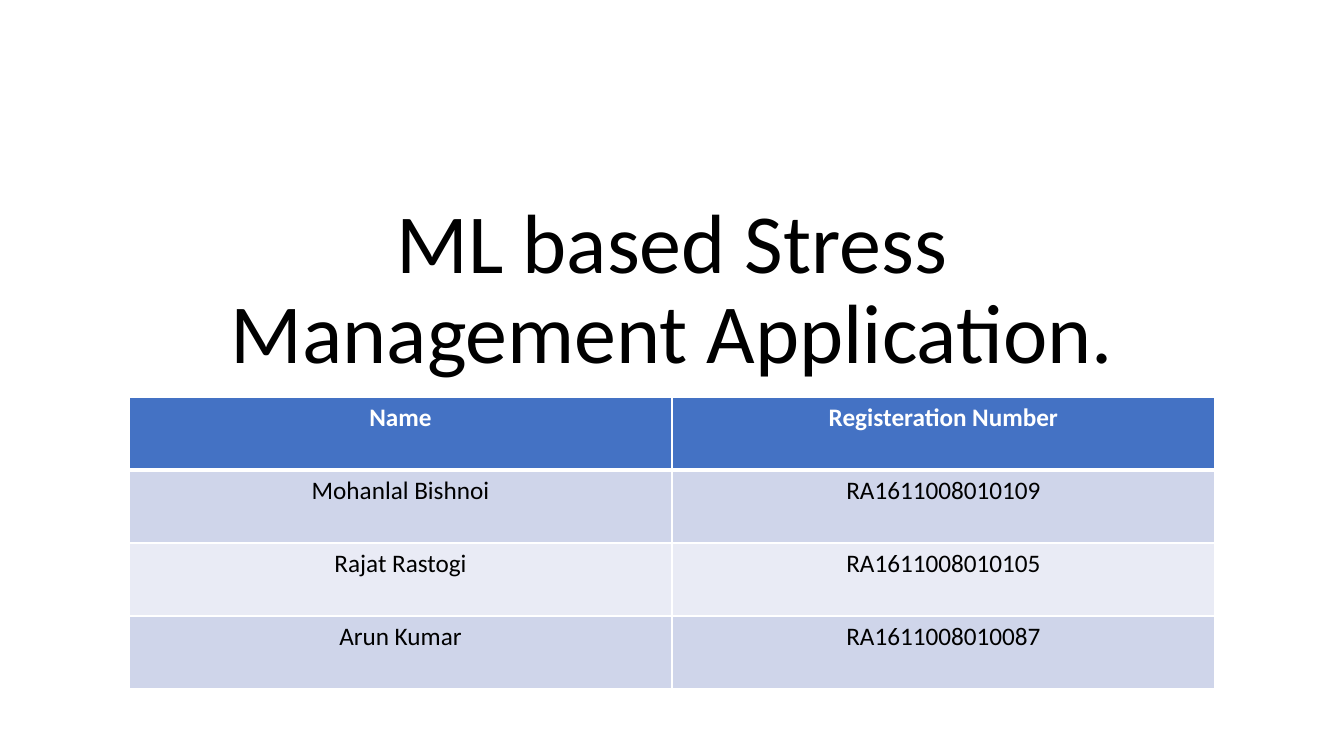
from lxml import etree
from pptx import Presentation
from pptx.dml.color import RGBColor
from pptx.enum.text import MSO_ANCHOR, MSO_AUTO_SIZE, PP_ALIGN
from pptx.oxml.ns import qn
from pptx.util import Pt

# Content
TITLE = "ML based Stress Management Application."
ROWS = [
    ("Name", "Registeration Number"),
    ("Mohanlal Bishnoi", "RA1611008010109"),
    ("Rajat Rastogi", "RA1611008010105"),
    ("Arun Kumar", "RA1611008010087"),
]

# Layout in px
SLIDE_SIZE = (1344, 756)
TITLE_BOX = (168, 124, 1008, 263)
TABLE_LEFT, TABLE_TOP = 129, 397
COLUMN_WIDTH, ROW_HEIGHT = 543, 73
FONT = "Calibri"
COLORS = {
    "text": "000000",
    "header": "4472C4",
    "header text": "FFFFFF",
    "odd row": "CFD5EA",
    "even row": "E9EBF5",
    "border": "FFFFFF",
}


def px(length):
    return round(length * 12192000 / SLIDE_SIZE[0])


def color(name):
    return RGBColor.from_string(COLORS[name])


def format_paragraph(paragraph, size, color_name, bold=False):
    paragraph.alignment = PP_ALIGN.CENTER
    font = paragraph.font
    font.name, font.size, font.bold = FONT, Pt(size), bold
    font.color.rgb = color(color_name)


def set_borders(cell, widths):
    properties = cell._tc.get_or_add_tcPr()
    for index, (side, width) in enumerate(widths.items()):
        line = etree.Element(qn(f"a:ln{side}"), w=str(Pt(width)))
        fill = etree.SubElement(line, qn("a:solidFill"))
        etree.SubElement(fill, qn("a:srgbClr"), val=COLORS["border"])
        properties.insert(index, line)


presentation = Presentation()
presentation.slide_width, presentation.slide_height = map(px, SLIDE_SIZE)
slide = presentation.slides.add_slide(presentation.slide_layouts[5])

# Title
title = slide.shapes.title
title.left, title.top, title.width, title.height = map(px, TITLE_BOX)
frame = title.text_frame
frame.text = TITLE
frame.word_wrap = True
frame.auto_size = MSO_AUTO_SIZE.NONE
frame.vertical_anchor = MSO_ANCHOR.BOTTOM
format_paragraph(frame.paragraphs[0], 60, "text")
frame.paragraphs[0].line_spacing = 0.9

# Table of students
column_count = len(ROWS[0])
table = slide.shapes.add_table(
    len(ROWS), column_count, px(TABLE_LEFT), px(TABLE_TOP),
    px(COLUMN_WIDTH * column_count), px(ROW_HEIGHT * len(ROWS)),
).table
for row_index, values in enumerate(ROWS):
    table.rows[row_index].height = px(ROW_HEIGHT)
    is_header = row_index == 0
    fill_name = "header" if is_header else "odd row" if row_index % 2 else "even row"
    text_name = "header text" if is_header else "text"
    borders = {"L": 1, "R": 1, "T": 3 if row_index == 1 else 1, "B": 3 if is_header else 1}
    for column_index, value in enumerate(values):
        cell = table.cell(row_index, column_index)
        cell.text = value
        cell.fill.solid()
        cell.fill.fore_color.rgb = color(fill_name)
        format_paragraph(cell.text_frame.paragraphs[0], 18, text_name, is_header)
        set_borders(cell, borders)

presentation.save("out.pptx")
